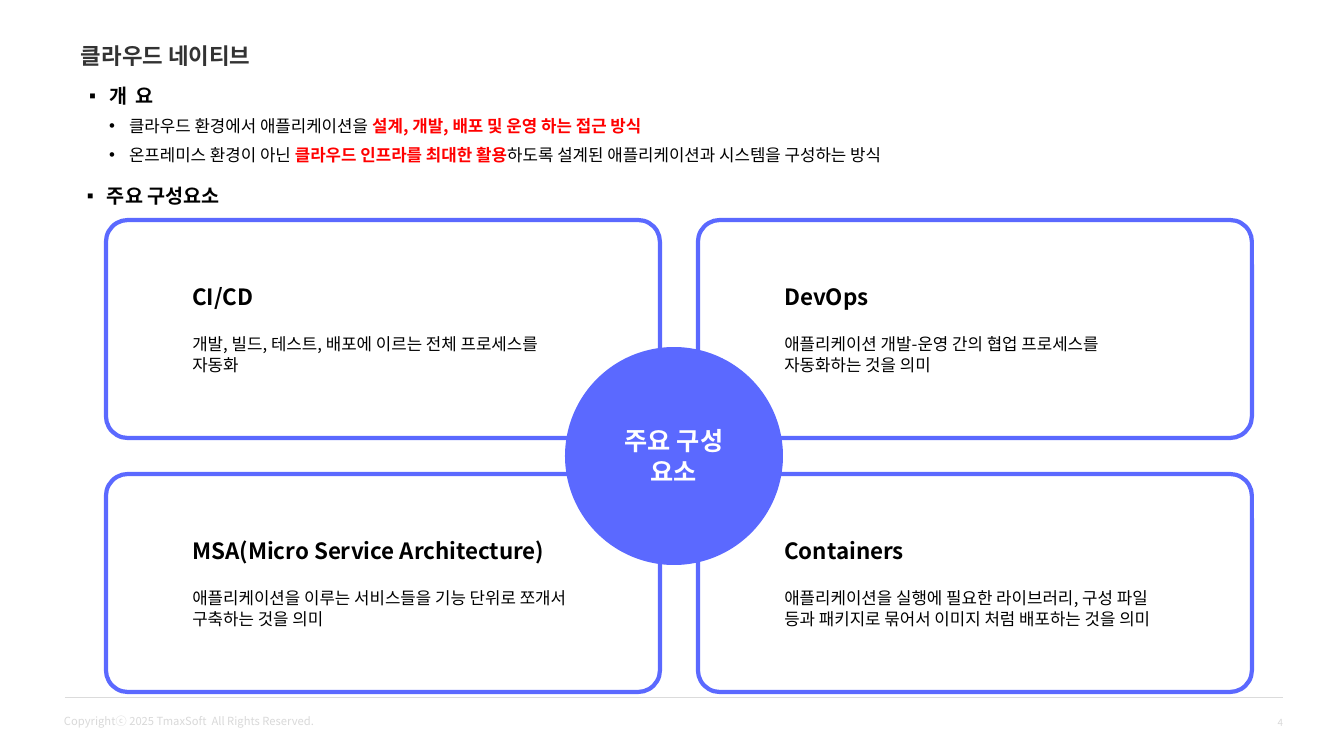
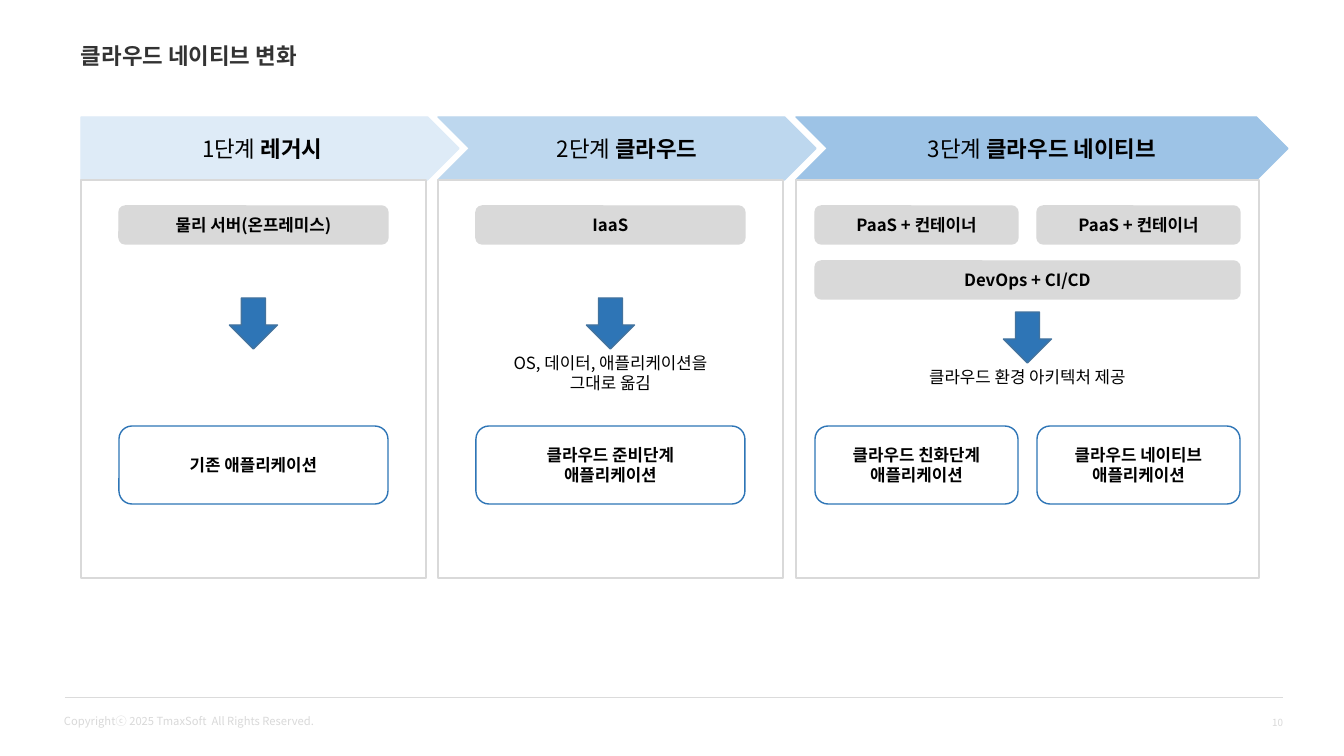
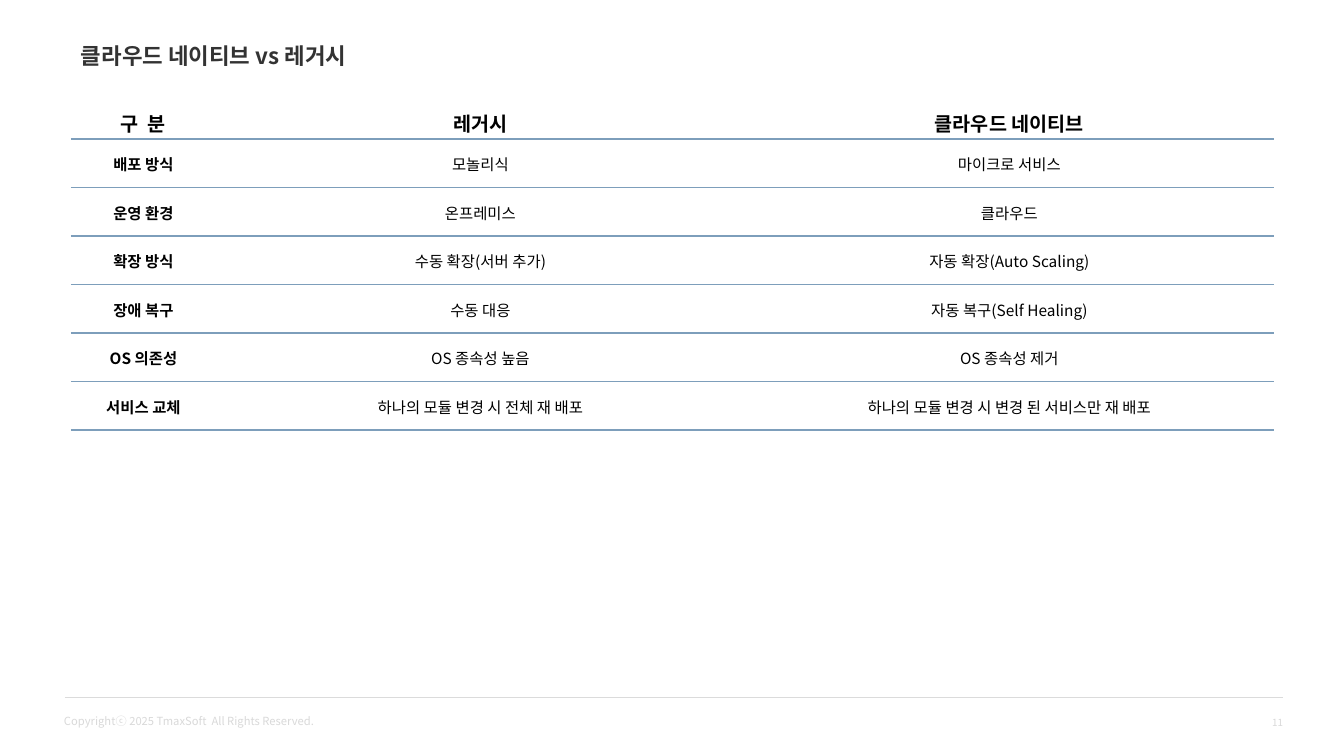
import dataclasses

import lxml.etree
import pptx
import pptx.dml.color
import pptx.enum.shapes
import pptx.enum.text
import pptx.oxml
import pptx.oxml.ns
import pptx.util

SHAPE = pptx.enum.shapes.MSO_SHAPE
ANCHOR = pptx.enum.text.MSO_ANCHOR
ALIGN = pptx.enum.text.PP_ALIGN
qn = pptx.oxml.ns.qn


@dataclasses.dataclass(frozen=True)
class Theme:
    font: str = "Noto Sans CJK KR"
    ink: str = "000000"
    paper: str = "FFFFFF"
    title: str = "333333"
    footer: str = "D9D9D9"
    footer_line: str = "DBDBDB"
    highlight: str = "FF0000"
    violet: str = "5B69FF"
    gray: str = "D9D9D9"
    blue: str = "2E75B6"
    blue_edge: str = "43739E"
    table_line: str = "7D9EBB"
    hub_size: int = 18
    title_size: int = 16
    heading_size: int = 14
    body_size: int = 12
    cell_size: int = 11
    copyright_size: int = 8
    page_size: int = 7


@dataclasses.dataclass(frozen=True)
class Para:
    content: object
    size: int
    color: str = "000000"
    bold: bool = False
    align: object = ALIGN.LEFT
    before: int = 0
    bullet: str = ""
    indent: int = 0
    emphasis: str = "000000"


THEME = Theme()
SLIDE_WIDTH, SLIDE_HEIGHT = 1344, 756
EMU_PER_PX = 12192000 / SLIDE_WIDTH
HANG = 20

COPYRIGHT = "Copyrightⓒ 2025 TmaxSoft  All Rights Reserved."

OVERVIEW_HEADING = "개  요"
OVERVIEW = [
    [("클라우드 환경에서 애플리케이션을 ", False), ("설계, 개발, 배포 및 운영 하는 접근 방식", True)],
    [("온프레미스 환경이 아닌 ", False), ("클라우드 인프라를 최대한 활용", True),
     ("하도록 설계된 애플리케이션과 시스템을 구성하는 방식", False)],
]
COMPONENTS_HEADING = "주요 구성요소"
HUB = "주요 구성 요소"
COMPONENTS = [
    ("CI/CD", "개발, 빌드, 테스트, 배포에 이르는 전체 프로세스를 자동화"),
    ("DevOps", "애플리케이션 개발-운영 간의 협업 프로세스를 자동화하는 것을 의미"),
    ("MSA(Micro Service Architecture)", "애플리케이션을 이루는 서비스들을 기능 단위로 쪼개서 구축하는 것을 의미"),
    ("Containers", "애플리케이션을 실행에 필요한 라이브러리, 구성 파일 등과 패키지로 묶어서 이미지 처럼 배포하는 것을 의미"),
]

STAGES = [
    dict(step="1단계 ", name="레거시", color="DEEBF7", outline=SHAPE.PENTAGON,
         left=81, width=345, header_width=378, pad=38, arrow_top=298,
         platforms=[["물리 서버(온프레미스)"]], caption=[],
         apps=[["기존 애플리케이션"]]),
    dict(step="2단계 ", name="클라우드", color="BDD7EE", outline=SHAPE.CHEVRON,
         left=438, width=345, header_width=378, pad=38, arrow_top=298,
         platforms=[["IaaS"]], caption=["OS, 데이터, 애플리케이션을", "그대로 옮김"],
         apps=[["클라우드 준비단계", "애플리케이션"]]),
    dict(step="3단계 ", name="클라우드 네이티브", color="9DC3E6", outline=SHAPE.CHEVRON,
         left=796, width=463, header_width=492, pad=19, arrow_top=312,
         platforms=[["PaaS + 컨테이너", "PaaS + 컨테이너"], ["DevOps + CI/CD"]],
         caption=["클라우드 환경 아키텍처 제공"],
         apps=[["클라우드 친화단계", "애플리케이션"], ["클라우드 네이티브", "애플리케이션"]]),
]

COMPARISON = [
    ("구  분", "레거시", "클라우드 네이티브"),
    ("배포 방식", "모놀리식", "마이크로 서비스"),
    ("운영 환경", "온프레미스", "클라우드"),
    ("확장 방식", "수동 확장(서버 추가)", "자동 확장(Auto Scaling)"),
    ("장애 복구", "수동 대응", "자동 복구(Self Healing)"),
    ("OS 의존성", "OS 종속성 높음", "OS 종속성 제거"),
    ("서비스 교체", "하나의 모듈 변경 시 전체 재 배포", "하나의 모듈 변경 시 변경 된 서비스만 재 배포"),
]


def px(length):
    return pptx.util.Emu(round(length * EMU_PER_PX))


def rgb(color):
    return pptx.dml.color.RGBColor.from_string(color)


def write(frame, paras, anchor=ANCHOR.TOP, inset=(10, 5)):
    frame.word_wrap = True
    frame.auto_size = pptx.enum.text.MSO_AUTO_SIZE.NONE
    frame.vertical_anchor = anchor
    frame.margin_left = frame.margin_right = px(inset[0])
    frame.margin_top = frame.margin_bottom = px(inset[1])
    for index, para in enumerate(paras):
        paragraph = frame.paragraphs[0] if index == 0 else frame.add_paragraph()
        write_paragraph(paragraph, para)


def write_paragraph(paragraph, para):
    paragraph.alignment = para.align
    if para.before:
        paragraph.space_before = pptx.util.Pt(para.before)
    properties = paragraph._p.get_or_add_pPr()
    if para.bullet:
        properties.set("marL", str(px(para.indent)))
        properties.set("indent", str(-px(HANG)))
        lxml.etree.SubElement(properties, qn("a:buFont")).set("typeface", "Arial")
        lxml.etree.SubElement(properties, qn("a:buChar")).set("char", para.bullet)
    mixed = not isinstance(para.content, str)
    font = paragraph.font
    font.name = THEME.font
    font.size = pptx.util.Pt(para.size)
    font.color.rgb = rgb(para.color)
    if not mixed:
        font.bold = para.bold
    east_asian = lxml.etree.SubElement(properties.find(qn("a:defRPr")), qn("a:ea"))
    east_asian.set("typeface", THEME.font)
    for text, emphasized in para.content if mixed else [(para.content, False)]:
        run = paragraph.add_run()
        run.text = text
        if mixed:
            run.font.bold = emphasized
        if emphasized:
            run.font.color.rgb = rgb(para.emphasis)


def add_text(slide, box, paras, **options):
    write(slide.shapes.add_textbox(*map(px, box)).text_frame, paras, **options)


def add_block(slide, outline, box, fill=None, line=None, weight=1, paras=(), inset=(10, 5)):
    block = slide.shapes.add_shape(outline, *map(px, box))
    block.shadow.inherit = False
    if fill:
        block.fill.solid()
        block.fill.fore_color.rgb = rgb(fill)
    else:
        block.fill.background()
    if line:
        block.line.color.rgb = rgb(line)
        block.line.width = pptx.util.Pt(weight)
    else:
        block.line.fill.background()
    if paras:
        write(block.text_frame, paras, anchor=ANCHOR.MIDDLE, inset=inset)
    return block


def centered(lines, bold=False):
    return [Para(line, THEME.body_size, bold=bold, align=ALIGN.CENTER) for line in lines]


def split_row(left, width, count, gap):
    cell = (width - gap * (count - 1)) / count
    return [(left + index * (cell + gap), cell) for index in range(count)]


def start_slide(deck, title, page):
    slide = deck.slides.add_slide(deck.slide_layouts.get_by_name("Title Only"))
    heading = slide.shapes.title
    heading.left, heading.top, heading.width, heading.height = map(px, (71, 37, 578, 37))
    write(heading.text_frame, [Para(title, THEME.title_size, THEME.title, bold=True)])
    rule = slide.shapes.add_connector(
        pptx.enum.shapes.MSO_CONNECTOR.STRAIGHT, px(65), px(697), px(1283), px(697))
    rule.line.color.rgb = rgb(THEME.footer_line)
    rule.line.width = pptx.util.Pt(0.5)
    lxml.etree.SubElement(rule._element.spPr, qn("a:effectLst"))
    add_text(slide, (54, 709, 300, 24), [Para(COPYRIGHT, THEME.copyright_size, THEME.footer)])
    add_text(slide, (1187, 690, 106, 66),
             [Para(str(page), THEME.page_size, THEME.footer, align=ALIGN.RIGHT)],
             anchor=ANCHOR.MIDDLE)
    return slide


def build_overview(deck):
    slide = start_slide(deck, "클라우드 네이티브", 4)

    def section(text):
        return Para(text, THEME.heading_size, bold=True, bullet="▪", indent=HANG)

    points = [Para(runs, THEME.body_size, before=6, bullet="•", indent=2 * HANG,
                   emphasis=THEME.highlight) for runs in OVERVIEW]
    add_text(slide, (79, 79, 1204, 92), [section(OVERVIEW_HEADING), *points])
    add_text(slide, (77, 179, 1204, 34), [section(COMPONENTS_HEADING)])

    for index, (name, description) in enumerate(COMPONENTS):
        row, column = divmod(index, 2)
        card = add_block(
            slide, SHAPE.ROUNDED_RECTANGLE, (106 + column * 592, 220 + row * 254, 554, 218),
            THEME.paper, THEME.violet, 3,
            [Para(name, THEME.title_size, bold=True),
             Para(description, THEME.body_size, before=17)],
            inset=(80, 5))
        card.adjustments[0] = 0.1
    add_block(slide, SHAPE.OVAL, (565, 347, 218, 218), THEME.violet,
              paras=[Para(HUB, THEME.hub_size, THEME.paper, bold=True, align=ALIGN.CENTER)])


def build_stages(deck):
    slide = start_slide(deck, "클라우드 네이티브 변화", 10)
    gap = 19
    arrow_width, arrow_height, caption_width = 48, 51, 270
    for stage in STAGES:
        left, width = stage["left"], stage["width"]
        center = left + width / 2
        inner_left, inner_width = left + stage["pad"], width - 2 * stage["pad"]
        label = Para([(stage["step"], False), (stage["name"], True)],
                     THEME.title_size, align=ALIGN.CENTER)
        add_block(slide, stage["outline"], (left, 117, stage["header_width"], 63),
                  stage["color"], stage["color"], paras=[label])
        add_block(slide, SHAPE.RECTANGLE, (left, 180, width, 398), line=THEME.gray)
        for row, platforms in enumerate(stage["platforms"]):
            cells = split_row(inner_left, inner_width, len(platforms), gap)
            for platform, (x, cell) in zip(platforms, cells):
                add_block(slide, SHAPE.ROUNDED_RECTANGLE, (x, 206 + row * 55, cell, 38),
                          THEME.gray, THEME.gray, paras=centered([platform], bold=True))
        add_block(slide, SHAPE.DOWN_ARROW,
                  (center - arrow_width / 2, stage["arrow_top"], arrow_width, arrow_height),
                  THEME.blue, THEME.blue_edge)
        if stage["caption"]:
            add_text(slide, (center - caption_width / 2, stage["arrow_top"] + arrow_height - 1,
                             caption_width, 50), centered(stage["caption"]))
        cells = split_row(inner_left, inner_width, len(stage["apps"]), gap)
        for app, (x, cell) in zip(stage["apps"], cells):
            add_block(slide, SHAPE.ROUNDED_RECTANGLE, (x, 426, cell, 78),
                      THEME.paper, THEME.blue, paras=centered(app, bold=True))


def add_border(cell, side):
    border = lxml.etree.SubElement(cell._tc.get_or_add_tcPr(), qn("a:" + side))
    border.set("w", str(pptx.util.Pt(1)))
    fill = lxml.etree.SubElement(border, qn("a:solidFill"))
    lxml.etree.SubElement(fill, qn("a:srgbClr")).set("val", THEME.table_line)


def build_comparison(deck):
    slide = start_slide(deck, "클라우드 네이티브 vs 레거시", 11)
    columns = (145, 529, 529)
    header_height, body_height = 33, 291
    body_rows = len(COMPARISON) - 1
    heights = [header_height] + [body_height / body_rows] * body_rows
    table = slide.shapes.add_table(
        len(COMPARISON), len(columns), px(71), px(106),
        px(sum(columns)), px(sum(heights))).table
    table.first_row = table.horz_banding = False
    no_style = "{2D5ABB26-0587-4C30-8999-92F81FD0307C}"
    table._tbl.tblPr.find(qn("a:tableStyleId")).text = no_style
    for column, width in zip(table.columns, columns):
        column.width = px(width)
    for row_index, (texts, height) in enumerate(zip(COMPARISON, heights)):
        table.rows[row_index].height = px(height)
        for column_index, text in enumerate(texts):
            cell = table.cell(row_index, column_index)
            if row_index:
                add_border(cell, "lnT")
            add_border(cell, "lnB")
            cell.fill.background()
            cell.vertical_anchor = ANCHOR.MIDDLE
            cell.margin_left = cell.margin_right = cell.margin_top = px(1)
            cell.margin_bottom = 0
            write_paragraph(
                cell.text_frame.paragraphs[0],
                Para(text, THEME.cell_size if row_index else THEME.heading_size,
                     bold=row_index == 0 or column_index == 0, align=ALIGN.CENTER))


def main():
    deck = pptx.Presentation()
    deck.slide_width, deck.slide_height = px(SLIDE_WIDTH), px(SLIDE_HEIGHT)
    build_overview(deck)
    build_stages(deck)
    build_comparison(deck)
    deck.save("out.pptx")


if __name__ == "__main__":
    main()
